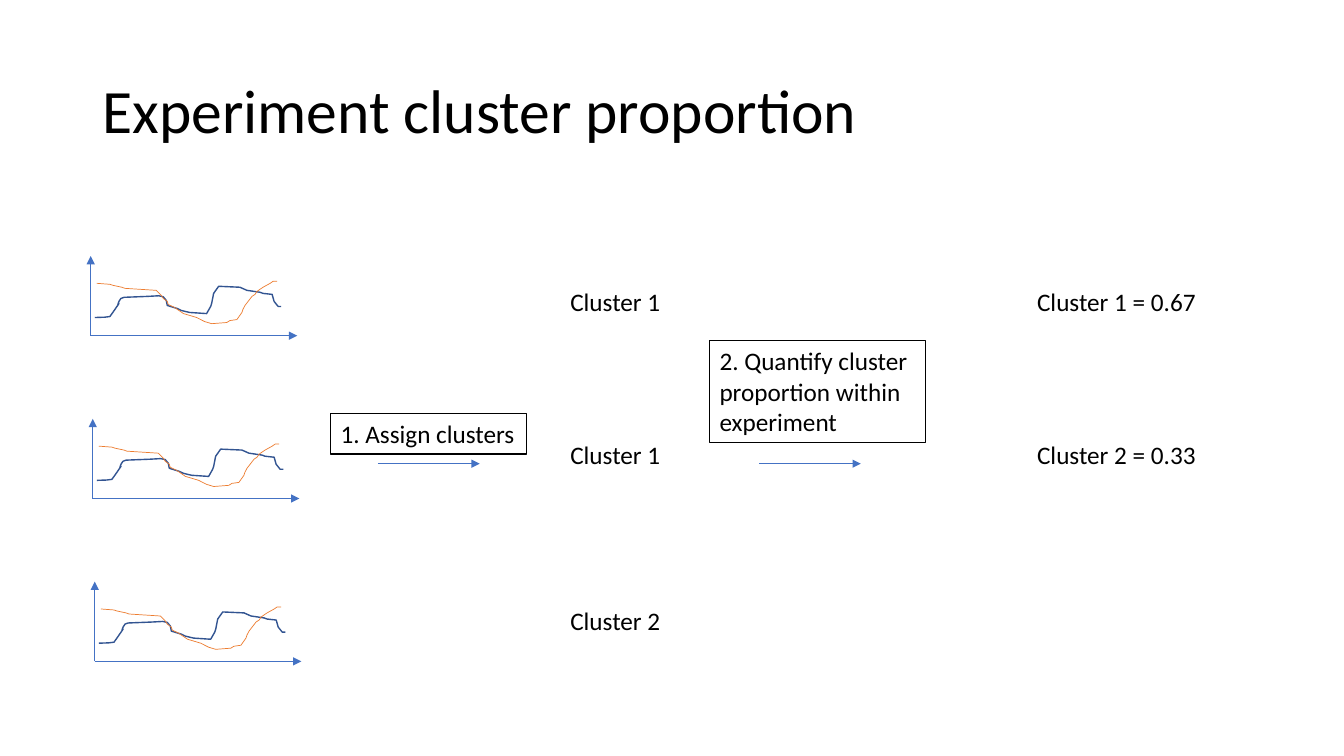
from lxml.etree import SubElement
from pptx import Presentation
from pptx.dml.color import RGBColor
from pptx.enum.shapes import MSO_CONNECTOR as Connector
from pptx.enum.text import MSO_ANCHOR as Anchor, MSO_AUTO_SIZE as AutoSize, PP_ALIGN as Align
from pptx.oxml.ns import qn
from pptx.util import Pt

BLACK, AXIS, NAVY, ORANGE = "000000", "4472C4", "325491", "ED7D31"
CHART_COUNT = 3
CHART_LEFT, CHART_BASE = 64.8, 239.8
CHART_SHIFT, CHART_STEP = 1.45, 116.3
AXIS_WIDTH, AXIS_HEIGHT = 147.6, 56.9
ARROW_TOP, ARROW_LENGTH = 331.2, 72.7

BLUE_SIGNAL = [
    (2.9, 13), (10, 13.2), (13.7, 13.7), (15.8, 16.6), (20.2, 23), (19.4, 22.3),
    (20.2, 24.5), (21.6, 26.6), (23.8, 27.4), (41, 28.1), (48.6, 28.5),
    (51.8, 27.8), (54, 25.2), (54.7, 21.6), (61.9, 19.4), (64.8, 18),
    (70.6, 16.6), (82.8, 15.8), (85.7, 20.9), (86.4, 23), (87.8, 30.2),
    (91.4, 35.3), (106.6, 34.6), (111.6, 32.4), (121, 31), (123.1, 30.2),
    (129.6, 29.5), (131, 24.5), (133.9, 20.9), (136.1, 20.9),
]
ORANGE_SIGNAL = [
    (4.3, 37.4), (13.7, 36.7), (15.8, 36), (22.3, 34.6), (24.5, 33.8),
    (46.8, 32.4), (50.4, 28.8), (51.8, 26.6), (54.7, 24.5), (55.4, 22.3),
    (59.8, 20.2), (64.1, 17.3), (66.2, 15.8), (75.6, 13), (81.4, 10.1),
    (86.4, 8.6), (97.2, 9.4), (99.4, 10.8), (104.4, 11.5), (108, 16.6),
    (108.7, 18.7), (110.2, 21.6), (115.2, 28.1), (117.4, 29.5),
    (118.8, 31.7), (123.1, 34.6), (128.2, 37.4), (130.3, 38.9), (133.2, 38.9),
]
STEPS = [
    ("1. Assign clusters", 236.2, 295.2, 139.7, 29.1, False, 270),
    ("2. Quantify cluster proportion within experiment", 506.9, 243.4, 154.1, 72.7, True, 542.2),
]
LABELS = [
    ("Cluster 1", 400.3, 200.9, 79.2),
    ("Cluster 1", 400.3, 310.3, 79.2),
    ("Cluster 2", 400.3, 429.1, 79.2),
    ("Cluster 1 = 0.67", 733.7, 200.9, 128.9),
    ("Cluster 2 = 0.33", 733.7, 310.3, 128.9),
]


def color(value):
    return RGBColor.from_string(value)


class Sketch:
    """Draws styled elements on the current page, measured in points."""

    def __init__(self, page, font="Calibri"):
        self.page = page
        self.font = font

    def style_text(self, frame, size):
        for para in frame.paragraphs:
            para.alignment = Align.LEFT
            for span in para.runs:
                span.font.name = self.font
                span.font.size = Pt(size)
                span.font.color.rgb = color(BLACK)

    def place(self, shape, left, top, width, height):
        shape.left, shape.top = Pt(left), Pt(top)
        shape.width, shape.height = Pt(width), Pt(height)

    def title(self, text):
        title = self.page.shapes.title
        self.place(title, 66, 28.8, 828, 104.4)
        title.text_frame.text = text
        title.text_frame.vertical_anchor = Anchor.MIDDLE
        title.text_frame.auto_size = AutoSize.NONE
        title.text_frame.paragraphs[0].line_spacing = 0.9
        self.style_text(title.text_frame, 44)

    def text(self, text, left, top, width, height=29.1, wrap=False, border=None):
        box = self.page.shapes.add_textbox(Pt(left), Pt(top), Pt(width), Pt(height))
        box.text_frame.text = text
        box.text_frame.word_wrap = wrap
        box.text_frame.auto_size = AutoSize.SHAPE_TO_FIT_TEXT
        self.style_text(box.text_frame, 18)
        if border:
            box.line.color.rgb = color(border)
            box.line.width = Pt(0.75)

    def arrow(self, left, top, right, bottom):
        arrow = self.page.shapes.add_connector(
            Connector.STRAIGHT, Pt(left), Pt(top), Pt(right), Pt(bottom))
        arrow.line.color.rgb = color(AXIS)
        arrow.line.width = Pt(0.5)
        SubElement(arrow.line._get_or_add_ln(), qn("a:tailEnd"), type="triangle")
        SubElement(arrow._element.spPr, qn("a:effectLst"))

    def curve(self, left, base, signal, stroke, width):
        points = [(Pt(left + x), Pt(base - height)) for x, height in signal]
        builder = self.page.shapes.build_freeform(*points[0])
        builder.add_line_segments(points[1:], close=False)
        curve = builder.convert_to_shape()
        curve.shadow.inherit = False
        curve.fill.background()
        curve.line.color.rgb = color(stroke)
        curve.line.width = Pt(width)

    def signal_chart(self, left, base):
        self.arrow(left, base, left, base - AXIS_HEIGHT)
        self.arrow(left, base, left + AXIS_WIDTH, base)
        self.curve(left, base, BLUE_SIGNAL, NAVY, 1)
        self.curve(left, base, ORANGE_SIGNAL, ORANGE, 0.5)


def main():
    deck = Presentation()
    deck.slide_width, deck.slide_height = Pt(960), Pt(540)
    sketch = Sketch(deck.slides.add_slide(deck.slide_layouts[5]))
    sketch.title("Experiment cluster proportion")
    for index in range(CHART_COUNT):
        sketch.signal_chart(CHART_LEFT + index * CHART_SHIFT, CHART_BASE + index * CHART_STEP)
    for text, left, top, width, height, wrap, arrow_left in STEPS:
        sketch.arrow(arrow_left, ARROW_TOP, arrow_left + ARROW_LENGTH, ARROW_TOP)
        sketch.text(text, left, top, width, height, wrap, BLACK)
    for label in LABELS:
        sketch.text(*label)
    deck.save("out.pptx")


if __name__ == "__main__":
    main()
